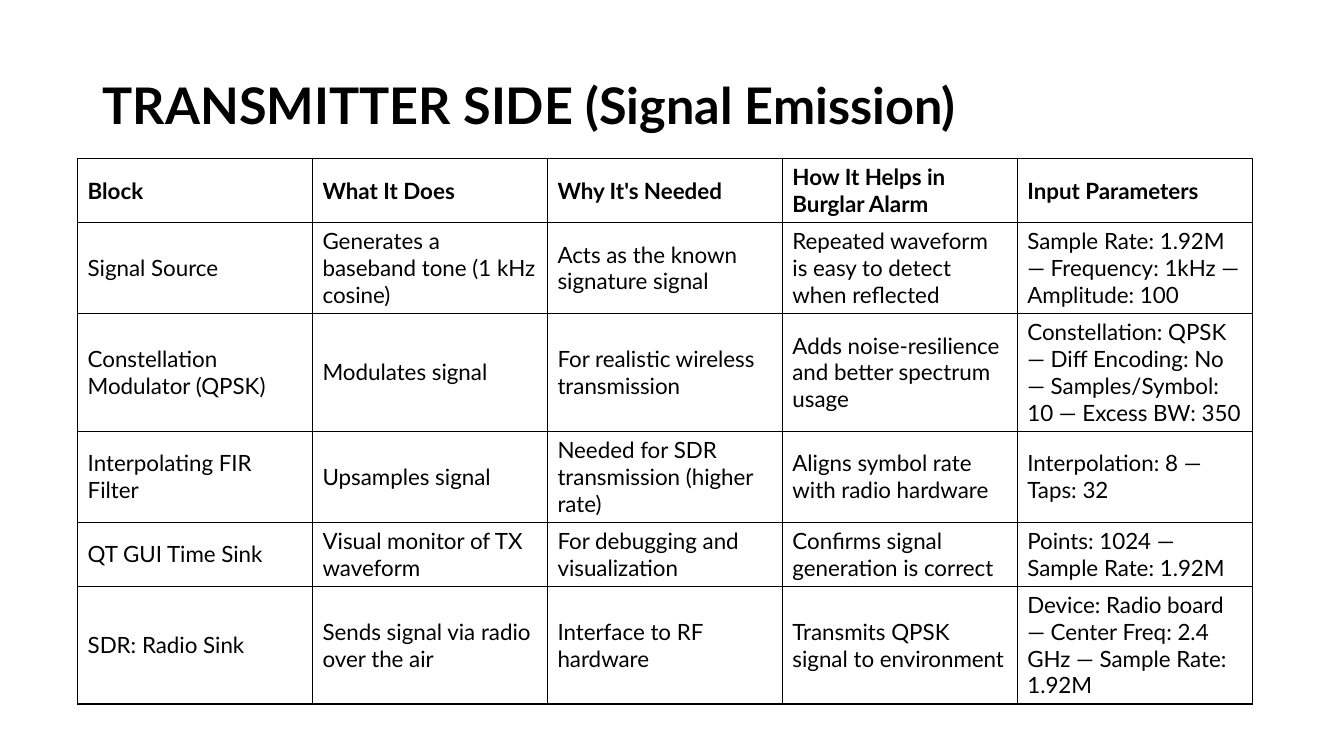
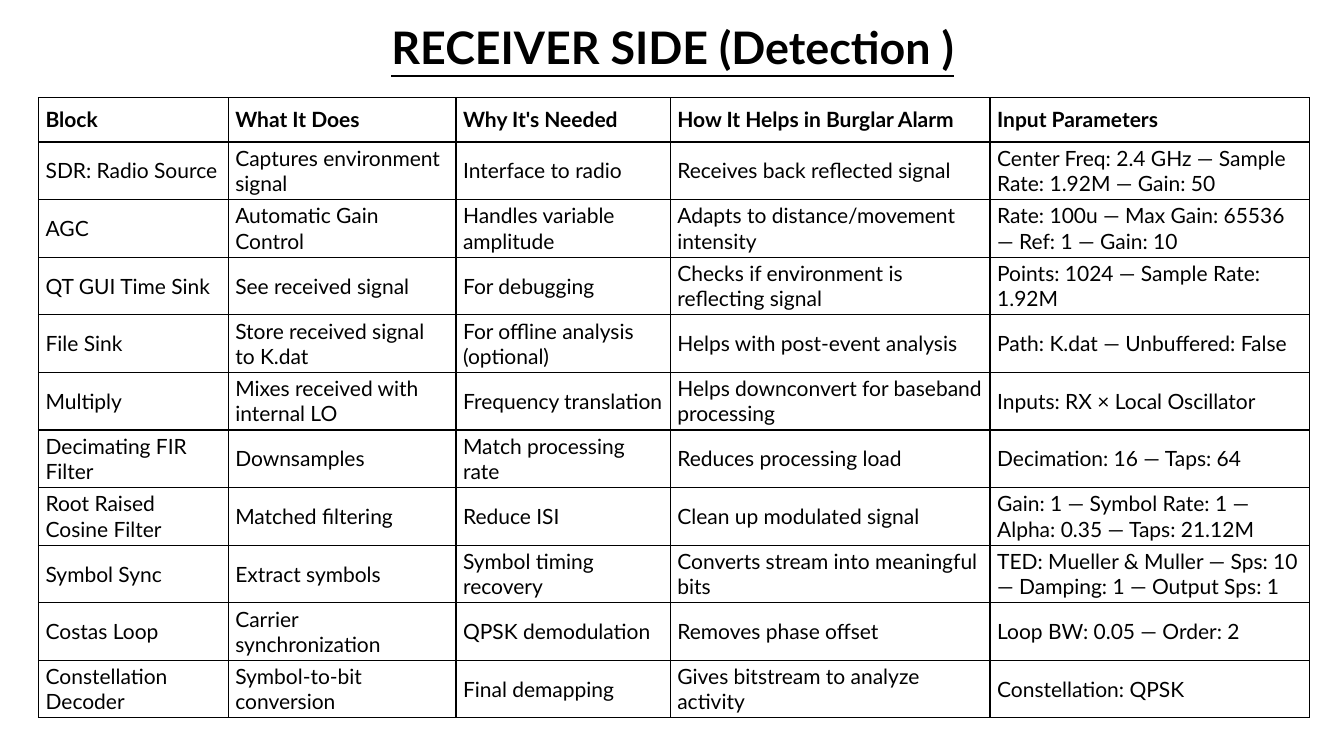
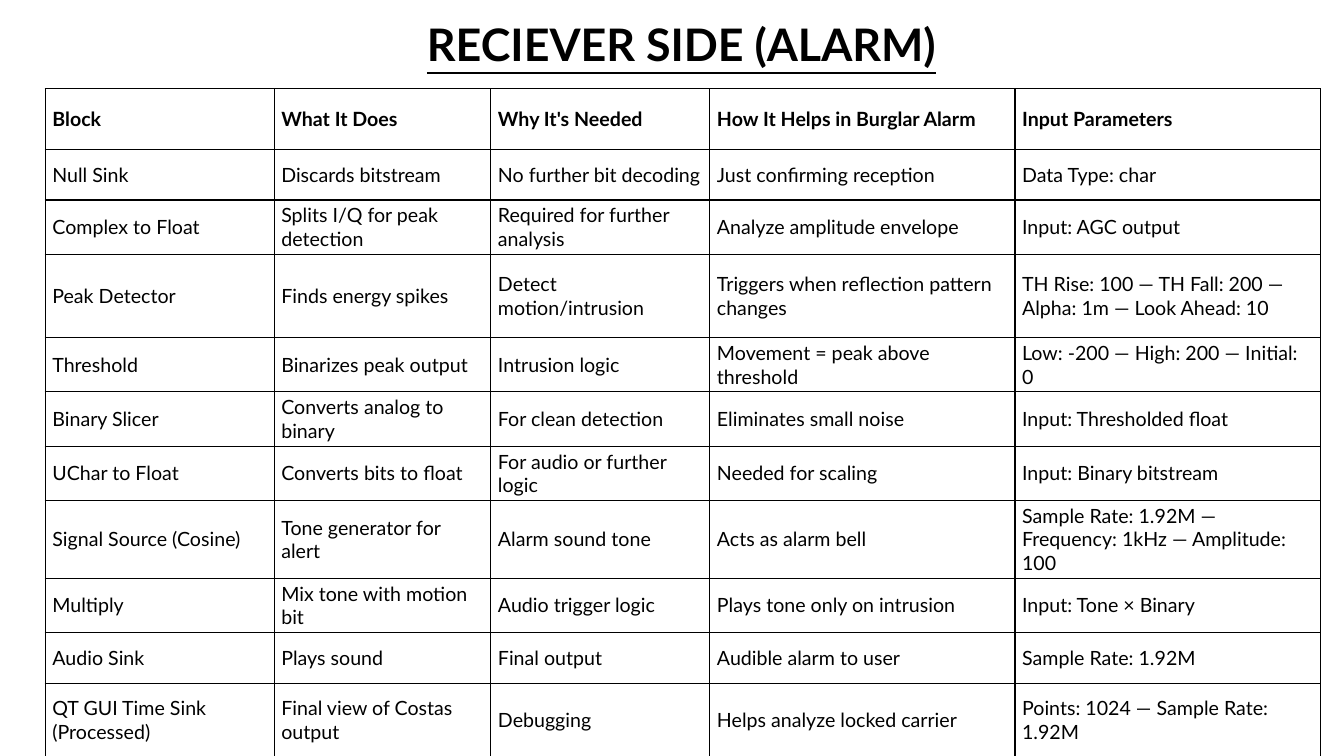
"""Builds three slides that tabulate the signal blocks of a radio burglar alarm."""
from lxml import etree
from pptx import Presentation
from pptx.dml.color import RGBColor
from pptx.enum import text
from pptx.oxml import ns
from pptx.util import Cm, Pt

INK = RGBColor(0x00, 0x00, 0x00)
FONT = "Lato"
HEAD = ("Block", "What It Does", "Why It's Needed",
        "How It Helps in Burglar Alarm", "Input Parameters")

SEND = [
    ("Signal Source", "Generates a baseband tone (1 kHz cosine)",
     "Acts as the known signature signal",
     "Repeated waveform is easy to detect when reflected",
     "Sample Rate: 1.92M — Frequency: 1kHz — Amplitude: 100"),
    ("Constellation Modulator (QPSK)", "Modulates signal",
     "For realistic wireless transmission",
     "Adds noise-resilience and better spectrum usage",
     "Constellation: QPSK — Diff Encoding: No — Samples/Symbol: 10 — Excess BW: 350"),
    ("Interpolating FIR Filter", "Upsamples signal",
     "Needed for SDR transmission (higher rate)",
     "Aligns symbol rate with radio hardware", "Interpolation: 8 — Taps: 32"),
    ("QT GUI Time Sink", "Visual monitor of TX waveform",
     "For debugging and visualization",
     "Confirms signal generation is correct",
     "Points: 1024 — Sample Rate: 1.92M"),
    ("SDR: Radio Sink", "Sends signal via radio over the air",
     "Interface to RF hardware", "Transmits QPSK signal to environment",
     "Device: Radio board — Center Freq: 2.4 GHz — Sample Rate: 1.92M"),
]

DETECT = [
    ("SDR: Radio Source", "Captures environment signal", "Interface to radio",
     "Receives back reflected signal",
     "Center Freq: 2.4 GHz — Sample Rate: 1.92M — Gain: 50"),
    ("AGC", "Automatic Gain Control", "Handles variable amplitude",
     "Adapts to distance/movement intensity",
     "Rate: 100u — Max Gain: 65536 — Ref: 1 — Gain: 10"),
    ("QT GUI Time Sink", "See received signal", "For debugging",
     "Checks if environment is reflecting signal",
     "Points: 1024 — Sample Rate: 1.92M"),
    ("File Sink", "Store received signal to K.dat",
     "For offline analysis (optional)", "Helps with post-event analysis",
     "Path: K.dat — Unbuffered: False"),
    ("Multiply", "Mixes received with internal LO", "Frequency translation",
     "Helps downconvert for baseband processing",
     "Inputs: RX × Local Oscillator"),
    ("Decimating FIR Filter", "Downsamples", "Match processing rate",
     "Reduces processing load", "Decimation: 16 — Taps: 64"),
    ("Root Raised Cosine Filter", "Matched filtering", "Reduce ISI",
     "Clean up modulated signal",
     "Gain: 1 — Symbol Rate: 1 — Alpha: 0.35 — Taps: 21.12M"),
    ("Symbol Sync", "Extract symbols", "Symbol timing recovery",
     "Converts stream into meaningful bits",
     "TED: Mueller & Muller — Sps: 10 — Damping: 1 — Output Sps: 1"),
    ("Costas Loop", "Carrier synchronization", "QPSK demodulation",
     "Removes phase offset", "Loop BW: 0.05 — Order: 2"),
    ("Constellation Decoder", "Symbol-to-bit conversion", "Final demapping",
     "Gives bitstream to analyze activity", "Constellation: QPSK"),
]

ALARM = [
    ("Null Sink", "Discards bitstream", "No further bit decoding",
     "Just confirming reception", "Data Type: char"),
    ("Complex to Float", "Splits I/Q for peak detection",
     "Required for further analysis", "Analyze amplitude envelope",
     "Input: AGC output"),
    ("Peak Detector", "Finds energy spikes", "Detect motion/intrusion",
     "Triggers when reflection pattern changes",
     "TH Rise: 100 — TH Fall: 200 — Alpha: 1m — Look Ahead: 10"),
    ("Threshold", "Binarizes peak output", "Intrusion logic",
     "Movement = peak above threshold", "Low: -200 — High: 200 — Initial: 0"),
    ("Binary Slicer", "Converts analog to binary", "For clean detection",
     "Eliminates small noise", "Input: Thresholded float"),
    ("UChar to Float", "Converts bits to float", "For audio or further logic",
     "Needed for scaling", "Input: Binary bitstream"),
    ("Signal Source (Cosine)", "Tone generator for alert", "Alarm sound tone",
     "Acts as alarm bell",
     "Sample Rate: 1.92M — Frequency: 1kHz — Amplitude: 100"),
    ("Multiply", "Mix tone with motion bit", "Audio trigger logic",
     "Plays tone only on intrusion", "Input: Tone × Binary"),
    ("Audio Sink", "Plays sound", "Final output", "Audible alarm to user",
     "Sample Rate: 1.92M"),
    ("QT GUI Time Sink (Processed)", "Final view of Costas output",
     "Debugging", "Helps analyze locked carrier",
     "Points: 1024 — Sample Rate: 1.92M"),
]


class Deck:
    """Holds the shared style and the current slide."""

    def __init__(self):
        self.prs = Presentation()
        self.prs.slide_width, self.prs.slide_height = Cm(33.87), Cm(19.05)
        self.page = None

    def add(self):
        self.page = self.prs.slides.add_slide(self.prs.slide_layouts[6])

    def style(self, para, size, bold):
        font = para.font
        font.name, font.size, font.bold = FONT, Pt(size), bold
        font.color.rgb = INK

    def title(self, words, box, size, center=True):
        frame = self.page.shapes.add_textbox(*map(Cm, box)).text_frame
        frame.word_wrap = True
        frame.vertical_anchor = text.MSO_ANCHOR.TOP if center else text.MSO_ANCHOR.BOTTOM
        para = frame.paragraphs[0]
        para.text = words
        para.line_spacing = 0.9
        para.alignment = text.PP_ALIGN.CENTER if center else text.PP_ALIGN.LEFT
        self.style(para, size, True)
        para.font.underline = center

    def border(self, cell):
        props = cell._tc.get_or_add_tcPr()
        for side in "LRTB":
            line = etree.SubElement(props, ns.qn(f"a:ln{side}"), w=str(Pt(1)))
            fill = etree.SubElement(line, ns.qn("a:solidFill"))
            etree.SubElement(fill, ns.qn("a:srgbClr"), val=str(INK))

    def table(self, body, spot, cols, rows, size, pad):
        data = [HEAD, *body]
        left, top = spot
        grid = self.page.shapes.add_table(
            len(data), len(HEAD), Cm(left), Cm(top),
            Cm(sum(cols)), Cm(sum(rows))).table
        grid.first_row = grid.horz_banding = False
        for col, wide in zip(grid.columns, cols):
            col.width = Cm(wide)
        for row, high, words in zip(grid.rows, rows, data):
            row.height = Cm(high)
            for cell, word in zip(row.cells, words):
                cell.text = word
                cell.vertical_anchor = text.MSO_ANCHOR.MIDDLE
                cell.margin_left = cell.margin_right = Cm(pad[0])
                cell.margin_top = cell.margin_bottom = Cm(pad[1])
                self.border(cell)
                cell.fill.background()
                self.style(cell.text_frame.paragraphs[0], size, words is HEAD)


def main():
    deck = Deck()

    deck.add()
    deck.title("TRANSMITTER SIDE (Signal Emission)", (2.34, 0.71, 29.18, 2.82), 36, False)
    deck.table(SEND, (1.96, 3.99), [5.92] * 5,
               [1.6, 2.25, 2.95, 2.25, 1.6, 2.95], 16, (0.25, 0.13))

    deck.add()
    deck.title("RECEIVER SIDE (Detection )", (3.84, 0.53, 26.24, 2.64), 32)
    deck.table(DETECT, (0.97, 2.46), [4.78, 5.74, 5.4, 8.06, 8.06],
               [1.12] + [1.44] * 10, 15, (0.18, 0.09))

    deck.add()
    deck.title("RECIEVER SIDE (ALARM)", (4.06, 0.46, 26.24, 2.64), 32)
    deck.table(ALARM, (1.14, 2.24), [5.77, 5.46, 5.52, 7.69, 7.69],
               [1.52, 1.28, 1.28, 2.1] + [1.28] * 6 + [1.85], 14, (0.18, 0.09))

    deck.prs.save("out.pptx")


if __name__ == "__main__":
    main()
